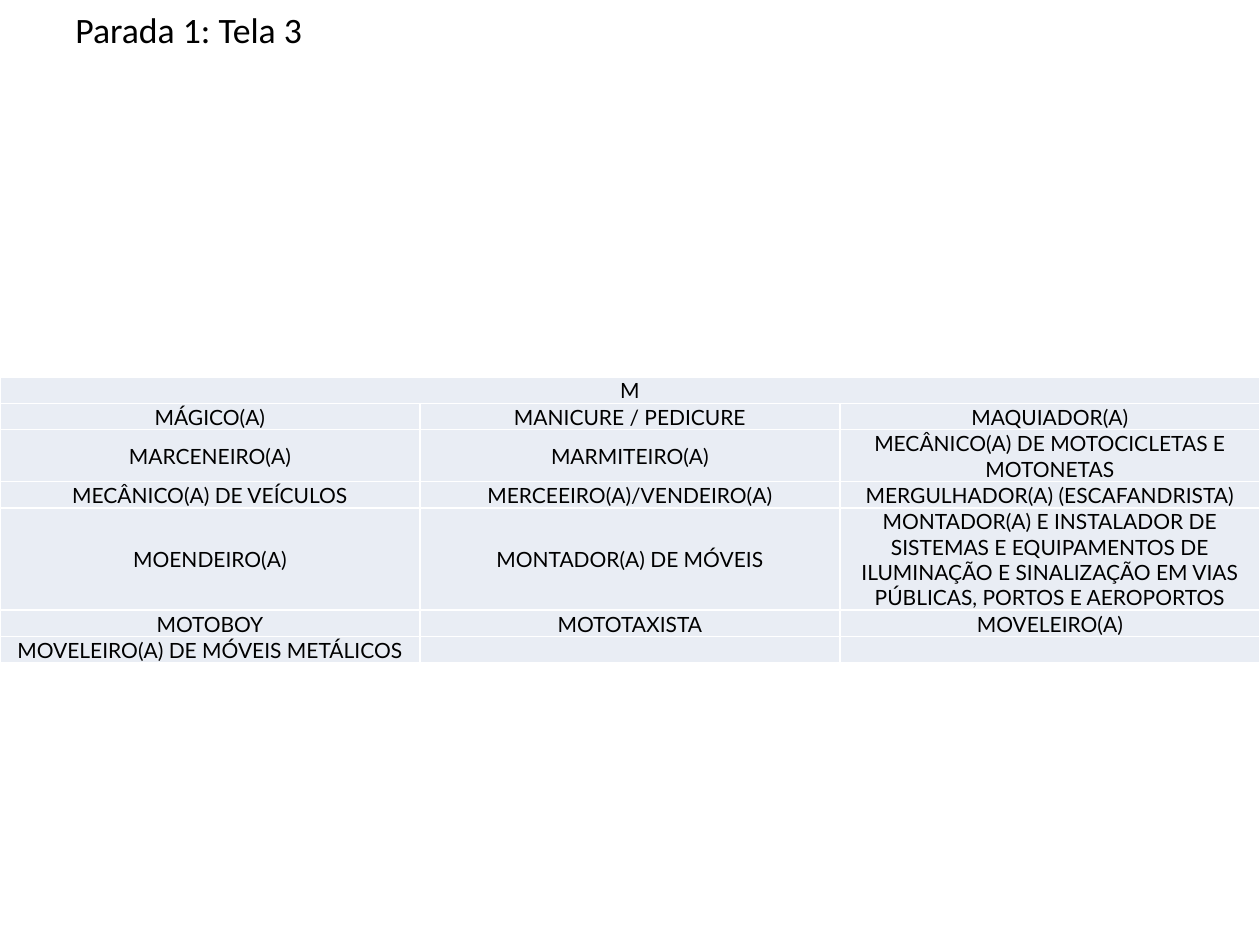
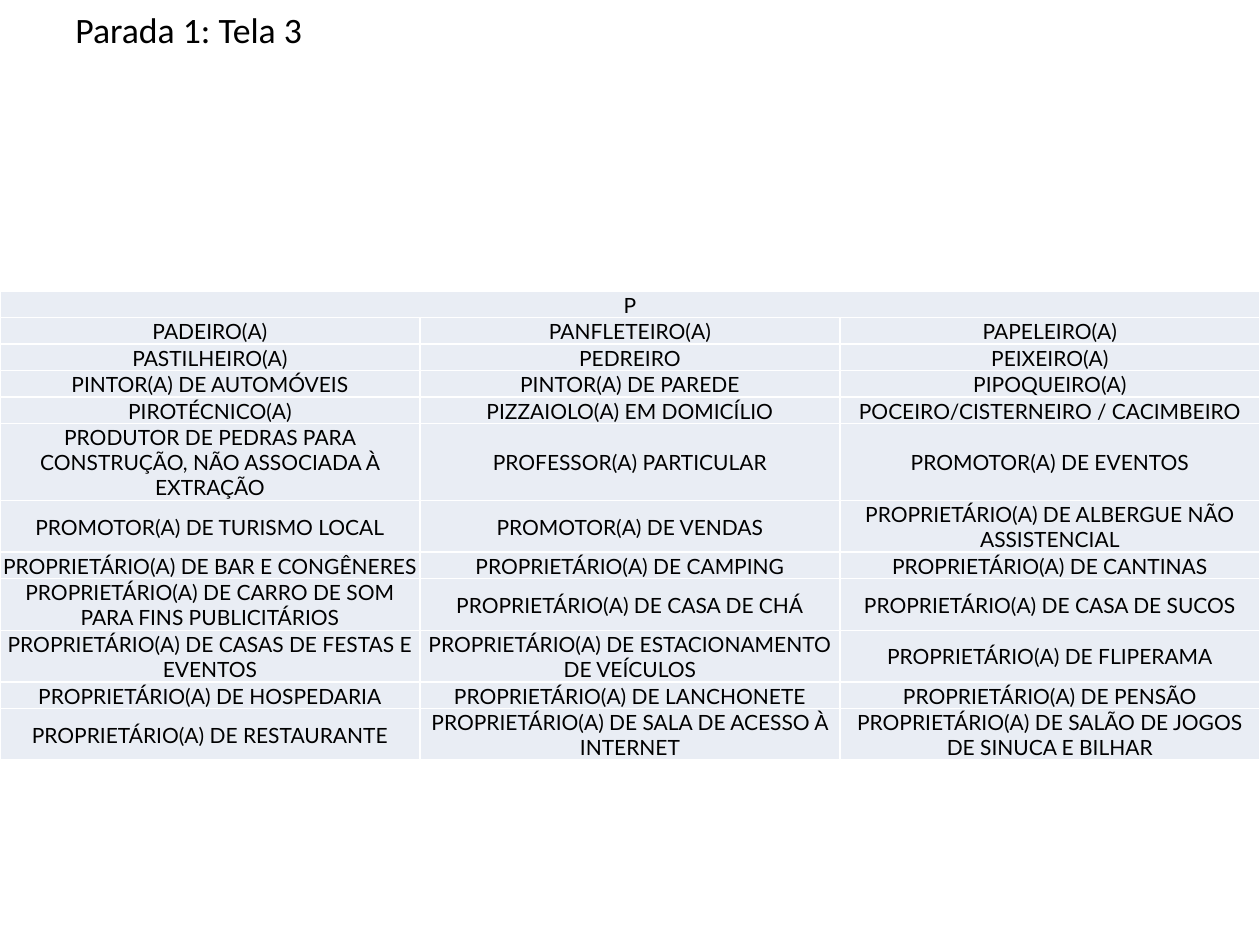
"""Build two slides that list occupations by initial letter."""
from lxml.etree import SubElement
from pptx import Presentation
from pptx.dml.color import RGBColor
from pptx.enum.text import MSO_ANCHOR, PP_ALIGN
from pptx.oxml.ns import qn
from pptx.util import Inches, Pt

INK, CELL, BORDER = "000000", "E9EDF4", "FFFFFF"
TITLE = "Parada 1: Tela 3"
TITLE_FONT = {"name": "Calibri", "size": Pt(20.4), "bold": False}
CELL_FONT = {"name": "Lato", "size": Pt(12), "bold": False}
CELL_FORMAT = {
    "margin_left": Inches(0.01),
    "margin_right": Inches(0.01),
    "margin_top": Inches(0.01),
    "margin_bottom": 0,
    "vertical_anchor": MSO_ANCHOR.MIDDLE,
}
COLUMNS = 3
LINE = 0.17

GROUPS = [
    {
        "letter": "M",
        "top": 2.99,
        "lines": [1, 1, 1, 1, 3, 1, 1],
        "jobs": [
            "MÁGICO(A)", "MANICURE / PEDICURE", "MAQUIADOR(A)",
            "MARCENEIRO(A)", "MARMITEIRO(A)",
            "MECÂNICO(A) DE MOTOCICLETAS E MOTONETAS",
            "MECÂNICO(A) DE VEÍCULOS", "MERCEEIRO(A)/VENDEIRO(A)",
            "MERGULHADOR(A) (ESCAFANDRISTA)",
            "MOENDEIRO(A)", "MONTADOR(A) DE MÓVEIS",
            "MONTADOR(A) E INSTALADOR DE SISTEMAS E EQUIPAMENTOS DE "
            "ILUMINAÇÃO E SINALIZAÇÃO EM VIAS PÚBLICAS, PORTOS E AEROPORTOS",
            "MOTOBOY", "MOTOTAXISTA", "MOVELEIRO(A)",
            "MOVELEIRO(A) DE MÓVEIS METÁLICOS", "", "",
        ],
    },
    {
        "letter": "P",
        "top": 2.31,
        "lines": [1, 1, 1, 1, 1, 2, 2, 1, 2, 2, 1, 2],
        "jobs": [
            "PADEIRO(A)", "PANFLETEIRO(A)", "PAPELEIRO(A)",
            "PASTILHEIRO(A)", "PEDREIRO", "PEIXEIRO(A)",
            "PINTOR(A) DE AUTOMÓVEIS", "PINTOR(A) DE PAREDE", "PIPOQUEIRO(A)",
            "PIROTÉCNICO(A)", "PIZZAIOLO(A) EM DOMICÍLIO",
            "POCEIRO/CISTERNEIRO / CACIMBEIRO",
            "PRODUTOR DE PEDRAS PARA CONSTRUÇÃO, NÃO ASSOCIADA À EXTRAÇÃO",
            "PROFESSOR(A) PARTICULAR", "PROMOTOR(A) DE EVENTOS",
            "PROMOTOR(A) DE TURISMO LOCAL", "PROMOTOR(A) DE VENDAS",
            "PROPRIETÁRIO(A) DE ALBERGUE NÃO ASSISTENCIAL",
            "PROPRIETÁRIO(A) DE BAR E CONGÊNERES",
            "PROPRIETÁRIO(A) DE CAMPING", "PROPRIETÁRIO(A) DE CANTINAS",
            "PROPRIETÁRIO(A) DE CARRO DE SOM PARA FINS PUBLICITÁRIOS",
            "PROPRIETÁRIO(A) DE CASA DE CHÁ", "PROPRIETÁRIO(A) DE CASA DE SUCOS",
            "PROPRIETÁRIO(A) DE CASAS DE FESTAS E EVENTOS",
            "PROPRIETÁRIO(A) DE ESTACIONAMENTO DE VEÍCULOS",
            "PROPRIETÁRIO(A) DE FLIPERAMA",
            "PROPRIETÁRIO(A) DE HOSPEDARIA", "PROPRIETÁRIO(A) DE LANCHONETE",
            "PROPRIETÁRIO(A) DE PENSÃO",
            "PROPRIETÁRIO(A) DE RESTAURANTE",
            "PROPRIETÁRIO(A) DE SALA DE ACESSO À INTERNET",
            "PROPRIETÁRIO(A) DE SALÃO DE JOGOS DE SINUCA E BILHAR",
        ],
    },
]


def paint(color, value):
    color.rgb = RGBColor.from_string(value)


def write(p, text, font):
    r = p.add_run()
    r.text = text
    for name, value in font.items():
        setattr(r.font, name, value)
    paint(r.font.color, INK)


prs = Presentation()
prs.slide_width, prs.slide_height = Inches(10), Inches(7.5)

for group in GROUPS:
    s = prs.slides.add_slide(prs.slide_layouts[6])
    tf = s.shapes.add_textbox(Inches(0.5), Inches(0.01), Inches(9), Inches(0.38)).text_frame
    tf.word_wrap = True
    write(tf.paragraphs[0], TITLE, TITLE_FONT)

    lines = group["lines"]
    table = s.shapes.add_table(len(lines), COLUMNS, 0, Inches(group["top"]),
                               Inches(10), Inches(LINE * sum(lines))).table
    table.first_row = table.horz_banding = False
    for row, count in zip(table.rows, lines):
        row.height = Inches(LINE * count)

    texts = [group["letter"], "", ""] + group["jobs"]
    for cell, text in zip(table.iter_cells(), texts):
        for name, value in CELL_FORMAT.items():
            setattr(cell, name, value)
        tcPr = cell._tc.get_or_add_tcPr()
        for side in ("a:lnL", "a:lnR", "a:lnT", "a:lnB"):
            ln = SubElement(tcPr, qn(side), w=str(Pt(1)))
            SubElement(SubElement(ln, qn("a:solidFill")), qn("a:srgbClr"), val=BORDER)
        cell.fill.solid()
        paint(cell.fill.fore_color, CELL)
        p = cell.text_frame.paragraphs[0]
        p.alignment = PP_ALIGN.CENTER
        if text:
            write(p, text, CELL_FONT)
        else:
            SubElement(p._p, qn("a:endParaRPr"), sz="1200")
    table.cell(0, 0).merge(table.cell(0, COLUMNS - 1))

prs.save("out.pptx")
